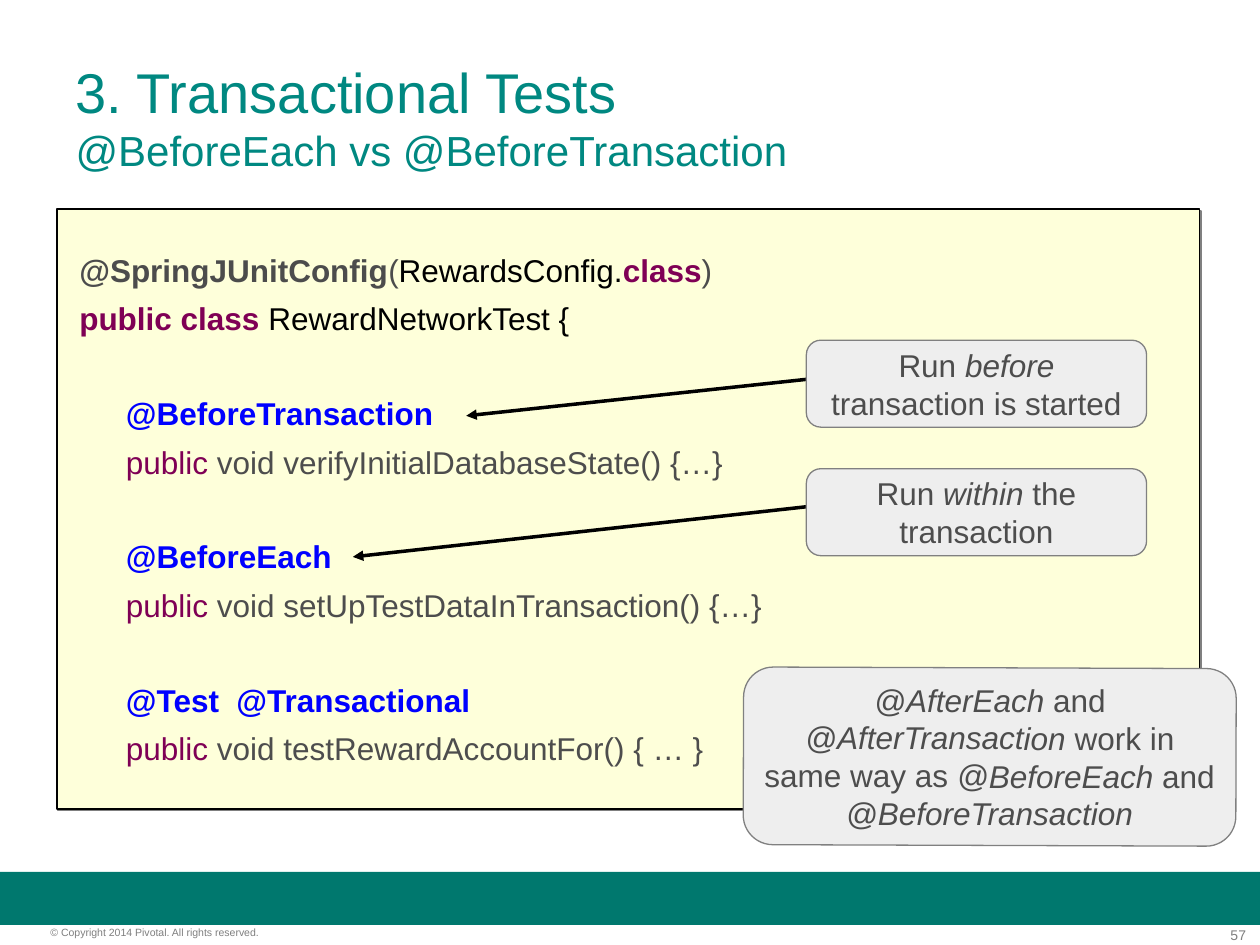
from lxml import etree
from pptx import Presentation
from pptx.dml.color import RGBColor
from pptx.enum.shapes import MSO_CONNECTOR, MSO_SHAPE
from pptx.enum.text import MSO_ANCHOR, MSO_AUTO_SIZE, PP_ALIGN
from pptx.oxml.ns import qn
from pptx.util import Inches, Pt

RECTANGLE, ROUNDED = MSO_SHAPE.RECTANGLE, MSO_SHAPE.ROUNDED_RECTANGLE
STRAIGHT = MSO_CONNECTOR.STRAIGHT
LEFT, CENTER, RIGHT = PP_ALIGN.LEFT, PP_ALIGN.CENTER, PP_ALIGN.RIGHT
TOP, MIDDLE = MSO_ANCHOR.TOP, MSO_ANCHOR.MIDDLE
NO_AUTOFIT = MSO_AUTO_SIZE.NONE
TITLE_ONLY = 5
COLUMNS, ROWS = 100, 75

TEAL, BAND, GREY, TEXT = "008881", "00786E", "7F7F7F", "4D4D4D"
BLACK, KEYWORD, ANNOTATION = "000000", "7F0055", "0000FF"


def color(hex_string):
    return RGBColor.from_string(hex_string)


def write(paragraph, text, size=18, ink=TEXT, bold=False, italic=False, font="Arial"):
    run = paragraph.add_run()
    run.text = text
    run.font.name, run.font.size = font, Pt(size)
    run.font.bold, run.font.italic = bold, italic
    run.font.color.rgb = color(ink)


class SlideBuilder:
    """Holds the grid, the shared style and the current slide."""

    def __init__(self, presentation):
        self.cell_width = presentation.slide_width / COLUMNS
        self.cell_height = presentation.slide_height / ROWS
        self.slide = presentation.slides.add_slide(presentation.slide_layouts[TITLE_ONLY])

    def place(self, column, row):
        return round(column * self.cell_width), round(row * self.cell_height)

    def frame(self, shape, anchor=MIDDLE, margins=(0.1, 0.05, 0.1, 0.05)):
        frame = shape.text_frame
        frame.word_wrap, frame.auto_size = True, NO_AUTOFIT
        frame.vertical_anchor = anchor
        (frame.margin_left, frame.margin_top,
         frame.margin_right, frame.margin_bottom) = map(Inches, margins)
        return frame

    def title(self, area, heading, subheading):
        shape = self.slide.shapes.title
        shape.left, shape.top = self.place(*area[:2])
        shape.width, shape.height = self.place(*area[2:])
        paragraph = self.frame(shape).paragraphs[0]
        paragraph.alignment = LEFT
        write(paragraph, heading, size=32, ink=TEAL)
        paragraph.add_line_break()
        write(paragraph, subheading, size=24, ink=TEAL)

    def box(self, area, fill, line=None, width=0, kind=RECTANGLE):
        shape = self.slide.shapes.add_shape(kind, *self.place(*area[:2]), *self.place(*area[2:]))
        shape.shadow.inherit = False
        shape.fill.solid()
        shape.fill.fore_color.rgb = color(fill)
        if line:
            shape.line.color.rgb = color(line)
            shape.line.width = Pt(width)
        else:
            shape.line.fill.background()
        return shape

    def label(self, area, text, size, alignment=LEFT):
        shape = self.slide.shapes.add_textbox(*self.place(*area[:2]), *self.place(*area[2:]))
        paragraph = self.frame(shape, TOP, (0, 0, 0, 0)).paragraphs[0]
        paragraph.alignment = alignment
        write(paragraph, text, size=size, ink=GREY)

    def code(self, area, lines):
        shape = self.box(area, "FEFFDA", line=BLACK, width=1)
        effects = shape._element.spPr.find(qn("a:effectLst"))
        shadow = etree.SubElement(effects, qn("a:outerShdw"), dist=str(Pt(1.4)),
                                  dir="2700000", algn="ctr", rotWithShape="0")
        etree.SubElement(shadow, qn("a:srgbClr"), val="808080")
        frame = self.frame(shape, margins=(0.18, 0.05, 0.1, 0.05))
        for number, (indent, space, runs) in enumerate(lines):
            paragraph = frame.add_paragraph() if number else frame.paragraphs[0]
            paragraph.alignment = LEFT
            paragraph.space_before = Pt(space)
            paragraph._p.get_or_add_pPr().set("marL", str(Inches(indent)))
            for text, ink, bold in runs:
                write(paragraph, text, ink=ink, bold=bold)

    def callout(self, area, parts, rotation=0):
        """Parts alternate between upright and italic text."""
        shape = self.box(area, "EEEEEE", line="808080", kind=ROUNDED)
        shape.adjustments[0] = 0.167
        shape.rotation = rotation
        paragraph = self.frame(shape).paragraphs[0]
        paragraph.alignment = CENTER
        for number, part in enumerate(parts):
            if part:
                write(paragraph, part, italic=number % 2 == 1)

    def arrow(self, start, end):
        connector = self.slide.shapes.add_connector(STRAIGHT, *self.place(*start), *self.place(*end))
        connector.line.color.rgb = color(BLACK)
        connector.line.width = Pt(0)
        etree.SubElement(connector.line._get_or_add_ln(), qn("a:tailEnd"), type="triangle")
        etree.SubElement(connector._element.spPr, qn("a:effectLst"))


def method_lines(annotation, signature):
    return [(0.37, 32.6, [(annotation, ANNOTATION, True)]),
            (0.37, 6, [("public", KEYWORD, False), (signature, TEXT, False)])]


def main():
    presentation = Presentation()
    presentation.slide_width, presentation.slide_height = Inches(10), Inches(7.5)
    builder = SlideBuilder(presentation)

    # Footer
    builder.box((0, 69.2, 100, 4.2), BAND)
    builder.label((93.1, 73.5, 5.8, 1.3), "57", 8, RIGHT)
    builder.label((4, 73.5, 24.9, 1), "© Copyright 2014 Pivotal. All rights reserved.", 6)

    # Title
    builder.title((5, 3, 90, 12.5), "3. Transactional Tests", "@BeforeEach vs @BeforeTransaction")

    # Code panel
    builder.code((4.5, 16.6, 90.7, 47.6), [
        (0, 0, [("@SpringJUnitConfig", "4C4C4C", True), ("(", "4C4C4C", False),
                ("RewardsConfig.", BLACK, False), ("class", KEYWORD, True),
                (")", "4C4C4C", False)]),
        (0, 6, [("public class", KEYWORD, True), (" RewardNetworkTest {", BLACK, False)]),
        *method_lines("@BeforeTransaction", " void verifyInitialDatabaseState() {…}"),
        *method_lines("@BeforeEach", " void setUpTestDataInTransaction() {…}"),
        *method_lines("@Test  @Transactional", " void testRewardAccountFor() { … }"),
    ])

    # Arrows run under the callouts
    builder.arrow((65, 30), (37, 33))
    builder.arrow((64.2, 40.2), (28, 44.2))

    # Callouts
    builder.callout((64, 37.2, 27, 6.9), ["Run ", "within", " the transaction"])
    builder.callout((64, 27, 27, 6.9), ["Run ", "before", " transaction is started"])
    builder.callout((59, 53, 39.1, 14.1),
                    ["", "@AfterEach", " and ", "@AfterTransaction ", "work in same way as ",
                     "@BeforeEach", " and ", "@BeforeTransaction"], rotation=0.2)

    presentation.save("out.pptx")


if __name__ == "__main__":
    main()
